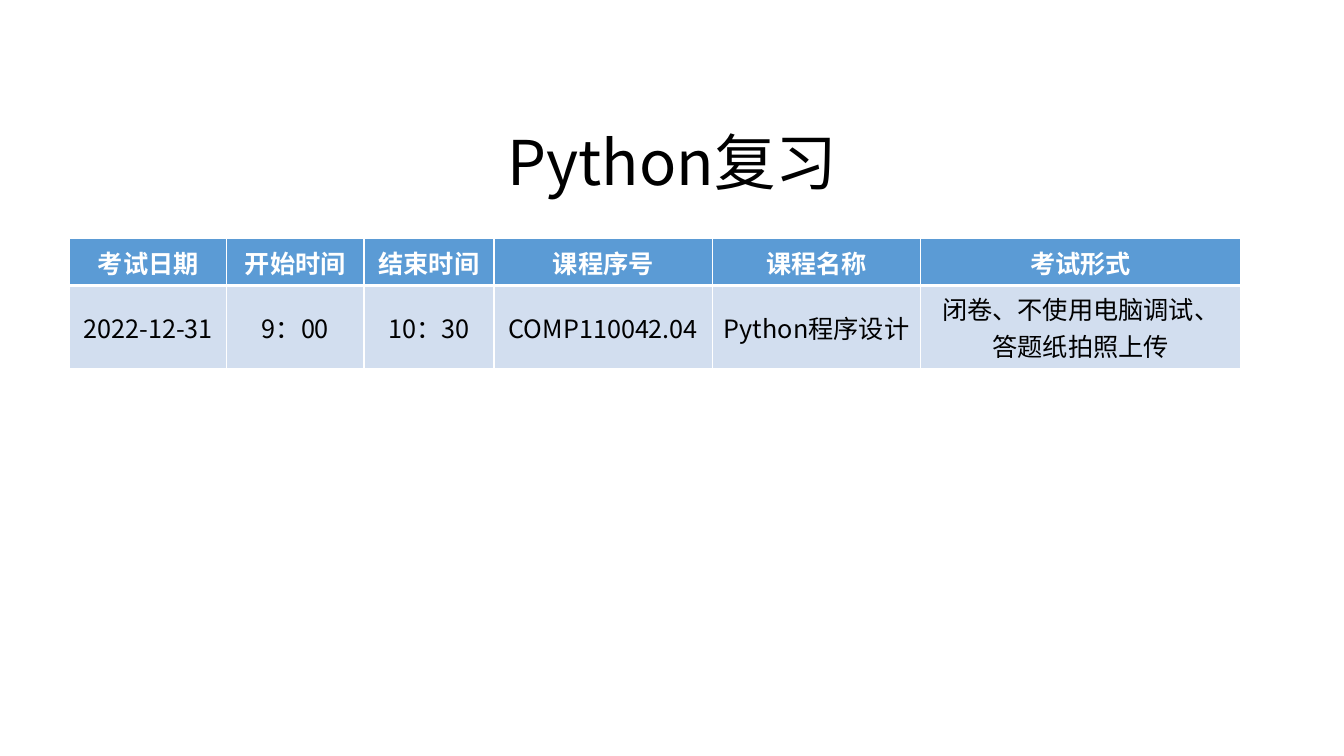
"""Build the Python revision slide with its exam schedule table."""
from pptx import Presentation
from pptx.dml.color import RGBColor
from pptx.enum.text import MSO_ANCHOR, PP_ALIGN
from pptx.oxml import parse_xml
from pptx.oxml.ns import nsdecls
from pptx.util import Inches, Pt

FONT = "Noto Sans CJK SC"
WHITE, BLACK, HEADER_BLUE, PALE_BLUE = "FFFFFF", "000000", "5B9BD5", "D2DEEF"
COLUMN_WIDTHS = [1.56, 1.36, 1.29, 2.17, 2.06, 3.18]
ROW_HEIGHT = 0.41
SCHEDULE = [
    ["考试日期", "开始时间", "结束时间", "课程序号", "课程名称", "考试形式"],
    ["2022-12-31", "9：00", "10：30", "COMP110042.04", "Python程序设计",
     "闭卷、不使用电脑调试、答题纸拍照上传"],
]


def write(frame, text, size, color, bold=False):
    frame.word_wrap = True
    paragraph = frame.paragraphs[0]
    paragraph.alignment = PP_ALIGN.CENTER
    run = paragraph.add_run()
    run.text = text
    font = run.font
    font.name, font.size, font.bold = FONT, Pt(size), bold
    font.color.rgb = RGBColor.from_string(color)
    font._element.append(parse_xml(f'<a:ea {nsdecls("a")} typeface="{FONT}"/>'))
    return paragraph


def add_border(cell, side, points):
    cell._tc.get_or_add_tcPr().append(parse_xml(
        f'<a:{side} {nsdecls("a")} w="{Pt(points)}"><a:solidFill>'
        f'<a:srgbClr val="{WHITE}"/></a:solidFill></a:{side}>'))


prs = Presentation()
prs.slide_width, prs.slide_height = Inches(13.33), Inches(7.5)
slide = prs.slides.add_slide(prs.slide_layouts[5])

title = slide.shapes.title
title.left, title.top = Inches(0.92), Inches(0.92)
title.width, title.height = Inches(11.5), Inches(1.45)
title.text_frame.vertical_anchor = MSO_ANCHOR.MIDDLE
write(title.text_frame, "Python复习", 44, BLACK).line_spacing = 0.9

table = slide.shapes.add_table(
    len(SCHEDULE), len(COLUMN_WIDTHS), Inches(0.69), Inches(2.37),
    Inches(sum(COLUMN_WIDTHS)), Inches(ROW_HEIGHT * len(SCHEDULE))).table
for column, width in zip(table.columns, COLUMN_WIDTHS):
    column.width = Inches(width)

for r, texts in enumerate(SCHEDULE):
    is_header = r == 0
    table.rows[r].height = Inches(ROW_HEIGHT)
    for c, text in enumerate(texts):
        cell = table.cell(r, c)
        cell.vertical_anchor = MSO_ANCHOR.MIDDLE
        write(cell.text_frame, text, 18, WHITE if is_header else BLACK, is_header)
        header_edge = "lnB" if is_header else "lnT"
        for side in ("lnL", "lnR", "lnT", "lnB"):
            add_border(cell, side, 3 if side == header_edge else 1)
        cell.fill.solid()
        cell.fill.fore_color.rgb = RGBColor.from_string(
            HEADER_BLUE if is_header else PALE_BLUE)

prs.save("out.pptx")
